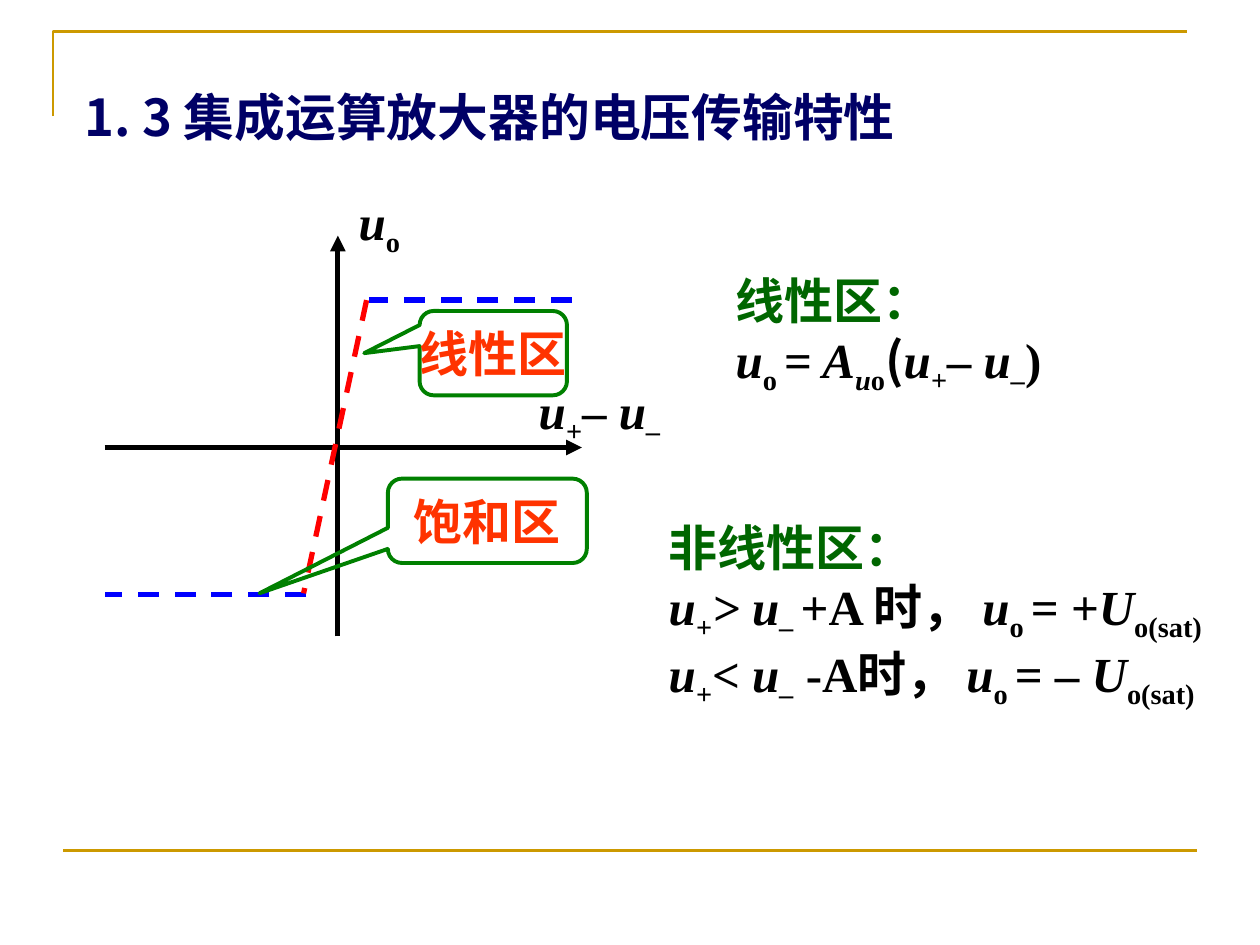
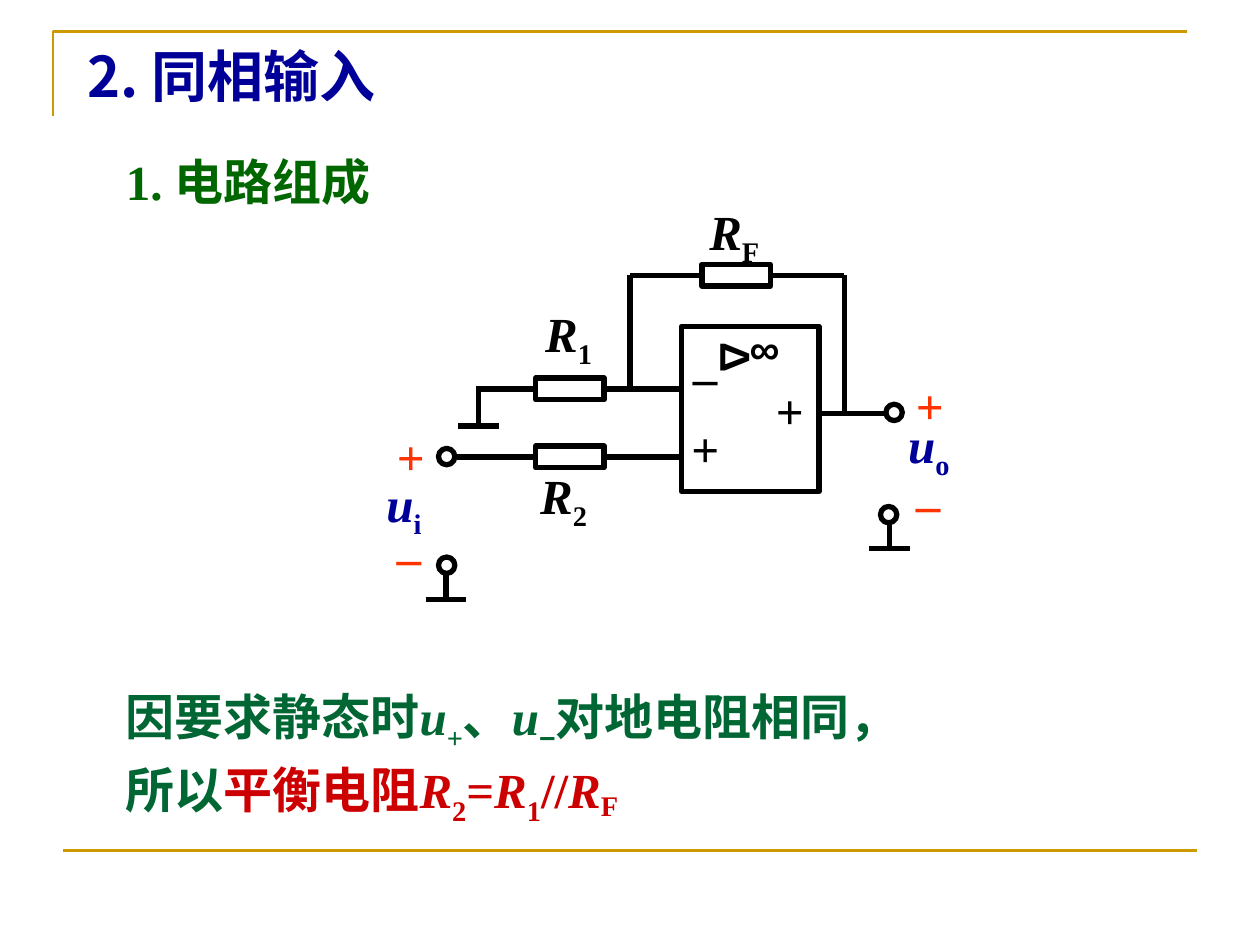
"""Build two slides on operational amplifiers: transfer characteristic and non-inverting input."""
from dataclasses import dataclass
from typing import Optional

from lxml import etree
from pptx import Presentation
from pptx import util as u
from pptx.dml.color import RGBColor
from pptx.enum import dml, shapes, text
from pptx.oxml import ns

COLORS = {
    "gold": "CC9900", "navy": "000066", "blue": "000099", "green": "006600",
    "teal": "006633", "outline": "008000", "orange": "FF3300", "crimson": "CC0000",
    "black": "000000", "dash_blue": "0000FF", "red": "FF0000",
}
SERIF, SANS, CJK = "Times New Roman", "Arial", "Noto Sans CJK SC"


@dataclass(frozen=True)
class Run:
    """A stretch of text; empty fields fall back to the label's style."""
    text: str
    italic: bool = False
    base: int = 0
    color: Optional[str] = None
    font: Optional[str] = None


@dataclass(frozen=True)
class Label:
    """Styled paragraphs in a box measured in centimetres."""
    x: float
    y: float
    w: float
    h: float
    paras: list
    color: str = "black"
    size: float = 28
    font: str = SERIF
    wrap: bool = True
    center: bool = False
    before: float = 0
    rotation: float = 0


@dataclass(frozen=True)
class Wire:
    """A straight line, optionally joined to (shape, side) at either end."""
    x1: float
    y1: float
    x2: float
    y2: float
    color: str = "black"
    width: float = 3
    dashed: bool = False
    arrow: bool = False
    begin: Optional[tuple] = None
    end: Optional[tuple] = None


@dataclass(frozen=True)
class Outline:
    """An unfilled preset shape measured in centimetres."""
    kind: shapes.MSO_SHAPE
    x: float
    y: float
    w: float
    h: float
    color: str = "black"
    width: float = 3
    adjust: tuple = ()


def var(name: str, color: Optional[str] = None) -> Run:
    """Return an italic variable."""
    return Run(name, italic=True, color=color)


def sub(name: str, italic: bool = False, color: Optional[str] = None,
        base: int = -25, font: Optional[str] = None) -> Run:
    """Return a subscript."""
    return Run(name, italic, base, color, font)


def rgb(name: str) -> RGBColor:
    """Look up a named colour."""
    return RGBColor.from_string(COLORS[name])


def cm(*values: float) -> list:
    """Convert centimetres to lengths."""
    return [u.Cm(v) for v in values]


def write(tf, label: Label) -> None:
    """Fill a text frame with the label's paragraphs, run by run."""
    tf.word_wrap = label.wrap
    tf.auto_size = text.MSO_AUTO_SIZE.NONE
    for i, para in enumerate(label.paras):
        p = tf.paragraphs[0] if i == 0 else tf.add_paragraph()
        p.alignment = text.PP_ALIGN.CENTER if label.center else text.PP_ALIGN.LEFT
        if i and label.before:
            p.space_before = u.Pt(label.before)
        for item in para:
            run = Run(item) if isinstance(item, str) else item
            r = p.add_run()
            r.text = run.text
            r.font.size = u.Pt(label.size)
            r.font.bold = True
            r.font.italic = run.italic
            r.font.name = run.font or label.font
            r.font.color.rgb = rgb(run.color or label.color)
            rpr = r._r.get_or_add_rPr()
            rpr.find(ns.qn("a:latin")).addnext(rpr.makeelement(ns.qn("a:ea"), {"typeface": CJK}))
            if run.base:
                rpr.set("baseline", str(run.base * 1000))


def add_label(slide, label: Label) -> None:
    """Add a label as a text box."""
    sp = slide.shapes.add_textbox(*cm(label.x, label.y, label.w, label.h))
    sp.rotation = label.rotation
    write(sp.text_frame, label)


def set_title(slide, label: Label, inset: bool, anchor: text.MSO_ANCHOR) -> None:
    """Move and fill the title placeholder."""
    sp = slide.shapes.title
    sp.left, sp.top, sp.width, sp.height = cm(label.x, label.y, label.w, label.h)
    tf = sp.text_frame
    tf.vertical_anchor = anchor
    if not inset:
        tf.margin_left = tf.margin_right = tf.margin_top = tf.margin_bottom = 0
    write(tf, label)


def add_wire(slide, wire: Wire) -> None:
    """Draw a line with its dash, arrowhead and joints."""
    sp = slide.shapes.add_connector(
        shapes.MSO_CONNECTOR.STRAIGHT, *cm(wire.x1, wire.y1, wire.x2, wire.y2))
    if wire.begin:
        sp.begin_connect(*wire.begin)
    if wire.end:
        sp.end_connect(*wire.end)
    sp.line.color.rgb = rgb(wire.color)
    sp.line.width = u.Pt(wire.width)
    if wire.dashed:
        sp.line.dash_style = dml.MSO_LINE.DASH
    if wire.arrow:
        etree.SubElement(sp.line._get_or_add_ln(), ns.qn("a:tailEnd"), type="triangle")
    etree.SubElement(sp._element.spPr, ns.qn("a:effectLst"))


def style_outline(sp, color: str, width: float) -> None:
    """Leave a shape with only a coloured outline."""
    sp.shadow.inherit = False
    sp.fill.background()
    sp.line.color.rgb = rgb(color)
    sp.line.width = u.Pt(width)


def add_outline(slide, outline: Outline):
    """Draw an unfilled preset shape and return it."""
    sp = slide.shapes.add_shape(
        outline.kind, *cm(outline.x, outline.y, outline.w, outline.h))
    for i, value in enumerate(outline.adjust):
        sp.adjustments[i] = value
    style_outline(sp, outline.color, outline.width)
    return sp


def add_callout(slide, x: float, y: float, w: float, tip: tuple, caption: str) -> None:
    """Draw a captioned rounded callout pointing at a region."""
    h = 1.7
    sp = add_outline(slide, Outline(shapes.MSO_SHAPE.ROUNDED_RECTANGULAR_CALLOUT,
                                    x, y, w, h, "outline", 2.25, (*tip, 0.167)))
    sp.text_frame.vertical_anchor = text.MSO_ANCHOR.MIDDLE
    write(sp.text_frame, Label(x, y, w, h, [[caption]], "orange", wrap=False, center=True))


def add_ground(slide, x: float, top: float, bottom: float) -> None:
    """Draw a ground stem with its bar."""
    add_wire(slide, Wire(x, top, x, bottom))
    add_wire(slide, Wire(x - 0.41, bottom, x + 0.41, bottom))


def new_slide(prs):
    """Add a slide with the shared corner frame and footer rule."""
    slide = prs.slides.add_slide(prs.slide_layouts[5])
    fb = slide.shapes.build_freeform(*cm(1.07, 2.34))
    fb.add_line_segments([cm(1.07, 0.64), cm(23.93, 0.64)], close=False)
    style_outline(fb.convert_to_shape(), "gold", 1.5)
    add_wire(slide, Wire(1.27, 17.15, 24.13, 17.15, "gold", 1.5))
    return slide


def transfer_slide(prs) -> None:
    """Build the voltage transfer characteristic slide."""
    slide = new_slide(prs)
    set_title(slide, Label(1.7, 1.73, 18.9, 1.22, [["1. 3 集成运算放大器的电压传输特性"]],
                           "navy", 29, CJK), False, text.MSO_ANCHOR.MIDDLE)
    x_axis = Wire(2.11, 9.02, 11.73, 9.02, arrow=True)
    y_axis = Wire(6.81, 12.83, 6.81, 4.75, arrow=True)
    low = Wire(6.17, 11.99, 2.11, 11.99, "dash_blue", dashed=True)
    high = Wire(11.53, 6.05, 7.44, 6.05, "dash_blue", dashed=True)
    slope = Wire(7.39, 6.05, 6.12, 11.96, "red", dashed=True)
    for wire in (x_axis, y_axis, low, high, slope):
        add_wire(slide, wire)
    add_callout(slide, 8.46, 6.27, 2.97, (-0.876, 0), "线性区")
    add_callout(slide, 7.82, 9.65, 4.01, (-1.145, 0.859), "饱和区")

    u_plus = [var("u"), sub("+", True)]
    u_minus = [var("u"), sub("–", True)]
    u_out = [var("u"), sub("o ")]
    u_sat = [var("U"), sub("o(sat)")]
    difference = [*u_plus, "– ", *u_minus]
    linear = [*u_out, "=", var(" A"), sub("u", True), sub("o"),
              Run("(", font=CJK), *difference, ")"]
    above = [*u_plus, var("> "), *u_minus, sub(" "), "+A 时， ", *u_out, "= +", *u_sat]
    below = [*u_plus, var("< "), *u_minus, " -A时， ", *u_out, "= – ", *u_sat]
    for label in (
        Label(10.61, 7.54, 6.94, 1.6, [difference]),
        Label(6.98, 3.73, 2.39, 1.6, [[var("u"), sub("o")]]),
        Label(14.58, 5.33, 9.32, 2.79, [[Run("线性区：", color="green")], linear]),
        Label(13.23, 10.31, 11.81, 4.14,
              [[Run("非线性区：", color="green")], above, below], wrap=False),
    ):
        add_label(slide, label)


def circuit_slide(prs) -> None:
    """Build the non-inverting input circuit slide."""
    slide = new_slide(prs)
    set_title(slide, Label(1.5, 0.71, 14.4, 1.91, [["2. 同相输入"]], "blue", 32, CJK),
              True, text.MSO_ANCHOR.TOP)
    add_label(slide, Label(2.29, 2.92, 6.4, 1.45, [["1. 电路组成"]], "green"))

    rect = shapes.MSO_SHAPE.RECTANGLE
    rf, r1, r2 = [add_outline(slide, Outline(rect, x, y, 1.38, 0.44))
                  for x, y in ((14.15, 5.33), (10.8, 7.62), (10.8, 8.99))]
    add_outline(slide, Outline(rect, 13.74, 6.58, 2.77, 3.33))
    for wire in (
        Wire(12.7, 5.55, 14.15, 5.55, end=(rf, 1)),
        Wire(15.53, 5.55, 17.02, 5.55, begin=(rf, 3)),
        Wire(12.7, 5.55, 12.7, 7.84),
        Wire(17.02, 5.55, 17.02, 8.38),
        Wire(9.6, 7.84, 10.8, 7.84, end=(r1, 1)),
        Wire(12.18, 7.84, 13.74, 7.84, begin=(r1, 3)),
        Wire(9.22, 9.21, 10.8, 9.21, end=(r2, 1)),
        Wire(12.18, 9.21, 13.74, 9.21, begin=(r2, 3)),
        Wire(16.51, 8.33, 17.88, 8.33),
    ):
        add_wire(slide, wire)
    for x, top, bottom in ((9.65, 7.84, 8.59), (17.93, 10.49, 11.05), (8.99, 11.53, 12.09)):
        add_ground(slide, x, top, bottom)
    for x, y in ((8.84, 9.04), (17.86, 8.15), (8.84, 11.23), (17.75, 10.21)):
        add_outline(slide, Outline(shapes.MSO_SHAPE.OVAL, x, y, 0.33, 0.33))

    for x, y, name, index, color in (
        (18.06, 8.23, "u", "o", "blue"), (7.54, 9.42, "u", "i", "blue"),
        (14.05, 3.94, "R", "F", "black"), (10.74, 5.99, "R", "1", "black"),
        (10.64, 9.25, "R", "2", "black"),
    ):
        add_label(slide, Label(x, y, 1.65, 1.6, [[var(name), sub(index)]], color, wrap=False))
    for x, y, w, sign in ((7.75, 8.48, 1.07, "+"), (18.21, 7.44, 1.07, "+"),
                          (7.75, 10.49, 0.99, "–"), (17.86, 9.42, 1.7, "–")):
        add_label(slide, Label(x, y, w, 1.45, [[sign]], "orange", wrap=False, center=True))
    for x, y, sign in ((13.69, 8.31, "+"), (15.39, 7.54, "+"), (13.72, 6.86, "–")):
        add_label(slide, Label(x, y, 1.19, 1.45, [[sign]]))
    add_label(slide, Label(14.86, 6.38, 2.82, 1.27, [["∞"]], size=24, font=SANS))
    add_label(slide, Label(14.35, 6.58, 1.02, 1.27, [["Δ"]], size=24, font=SANS,
                           wrap=False, center=True, rotation=90))

    red = "crimson"
    reason = ["因要求静态时", var("u"), sub("+"), "、", var("u"), sub("−", font=SANS),
              "对地电阻相同，"]
    result = ["所以", Run("平衡电阻", color=red), var("R", red), sub("2", color=red),
              Run("=", color=red), var("R", red), sub("1", color=red),
              Run("//", color=red), var("R", red), sub("F", color=red, base=-16)]
    add_label(slide, Label(2.29, 13.72, 19, 3.07, [reason, result], "teal", before=3.5))


def main() -> None:
    """Build and save the presentation."""
    prs = Presentation()
    prs.slide_width, prs.slide_height = cm(25.4, 19.05)
    transfer_slide(prs)
    circuit_slide(prs)
    prs.save("out.pptx")


if __name__ == "__main__":
    main()
